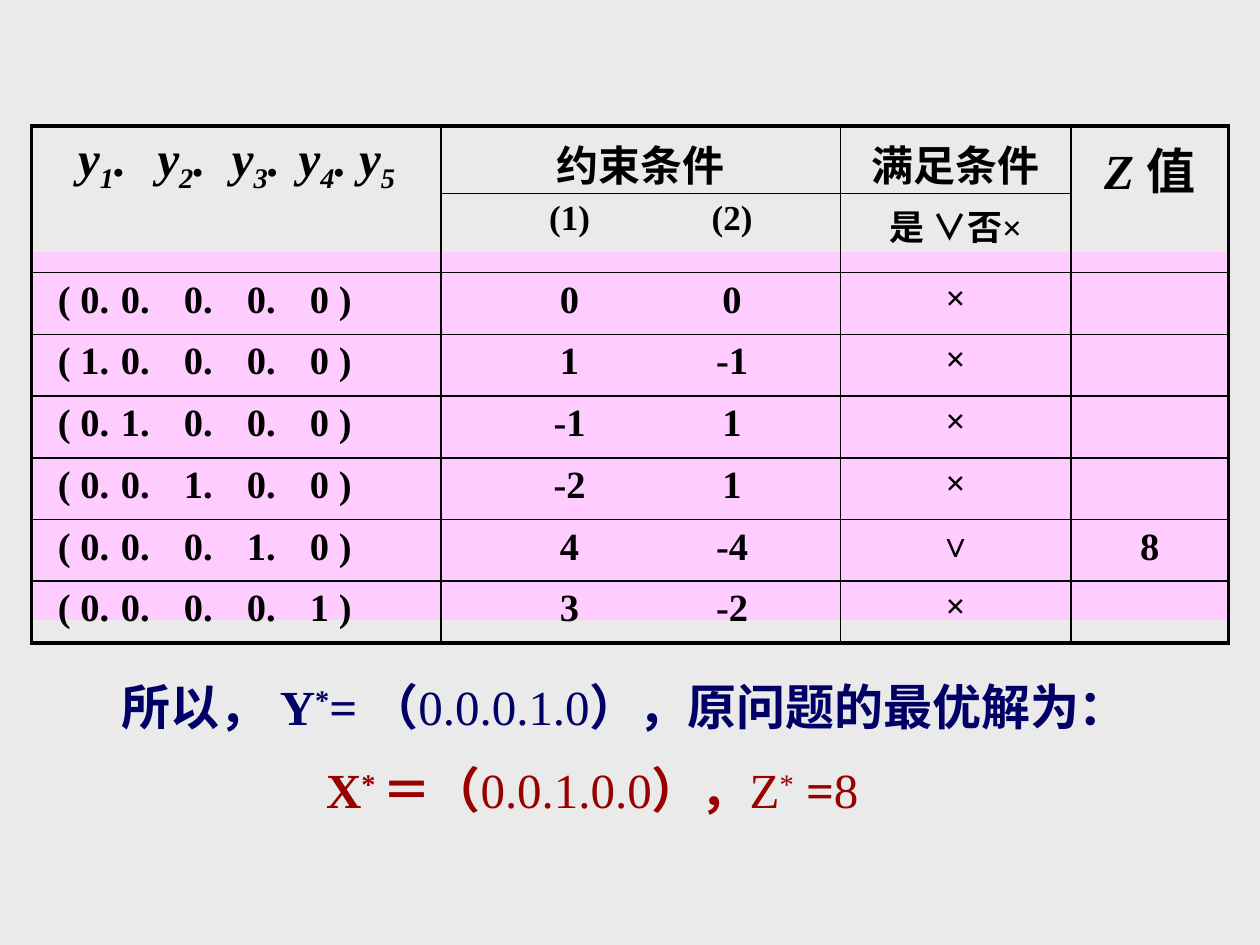
from typing import NamedTuple

from lxml import etree
from pptx import Presentation
from pptx import util as u
from pptx.dml.color import RGBColor
from pptx.enum import shapes, text
from pptx.oxml import ns

SCALE = 9144  # EMU per px, 100 px to the inch
FONT = "Times New Roman"
BLACK = RGBColor(0, 0, 0)
GREY = RGBColor(0xEA, 0xEA, 0xEA)
PINK = RGBColor(0xFF, 0xCC, 0xFF)
NAVY = RGBColor(0x00, 0x00, 0x66)
RED = RGBColor(0x99, 0x00, 0x00)
MID = text.PP_ALIGN.CENTER

COLS = [325, 317, 183, 125]
ROWS = [52, 63] + [49] * 6
BANDS = [200, 250, 300, 342, 392, 442]
Y_TABS = [27, 90, 149, 202, 250]
BIT_TABS = [87 + 59 * i for i in range(4)]
TEST_TABS = [92, 221]


class Trial(NamedTuple):
    bits: str
    one: str
    two: str
    mark: str
    z: str = ""


TRIALS = [
    Trial("00000", "0", "0", "×"),
    Trial("10000", "1", "-1", "×"),
    Trial("01000", "-1", "1", "×"),
    Trial("00100", "-2", "1", "×"),
    Trial("00010", "4", "-4", "∨", "8"),
    Trial("00001", "3", "-2", "×"),
]


def px(n: int) -> u.Emu:
    return u.Emu(n * SCALE)


def add(para, words: str, size=28, color=BLACK, bold=True, italic=False, base=0) -> None:
    run = para.add_run()
    run.text = words
    font = run.font
    font.name, font.size = FONT, u.Pt(size)
    font.bold, font.italic = bold, italic
    font.color.rgb = color
    if base:
        run._r.get_or_add_rPr().set("baseline", str(base * 1000))


def tabs(para, stops: list[int], kind: str = "l") -> None:
    stop_list = etree.SubElement(para._p.get_or_add_pPr(), ns.qn("a:tabLst"))
    for stop in stops:
        etree.SubElement(stop_list, ns.qn("a:tab"), pos=str(px(stop)), algn=kind)


def indent(para, left: int) -> None:
    props = para._p.get_or_add_pPr()
    props.set("marL", str(px(left)))
    props.set("indent", "0")


def edge(cell, row: int, col: int) -> None:
    """Draw thin cell borders, thick on the outside of the table."""
    last = row + cell.span_height == len(ROWS) if cell.is_merge_origin else row == len(ROWS) - 1
    outer = {"L": col == 0, "R": col == len(COLS) - 1, "T": row == 0, "B": last}
    props = cell._tc.get_or_add_tcPr()
    for i, (side, thick) in enumerate(outer.items()):
        line = etree.Element(ns.qn("a:ln" + side), w=str(u.Pt(2.25 if thick else 1)))
        fill = etree.SubElement(line, ns.qn("a:solidFill"))
        etree.SubElement(fill, ns.qn("a:srgbClr"), val=str(BLACK))
        props.insert(i, line)


def center(cell, words: str, **style) -> None:
    para = cell.text_frame.paragraphs[0]
    para.alignment = MID
    add(para, words, **style)


def tabbed(cell, words: str, stops: list[int], kind: str, size: int) -> None:
    para = cell.text_frame.paragraphs[0]
    tabs(para, stops, kind)
    add(para, words, size=size)


def draw_bands(slide) -> None:
    for top in BANDS:
        band = slide.shapes.add_shape(
            shapes.MSO_SHAPE.RECTANGLE, px(25), px(top), px(950), px(50))
        band.shadow.inherit = False
        band.fill.solid()
        band.fill.fore_color.rgb = PINK
        band.line.fill.background()


def draw_table(slide) -> None:
    table = slide.shapes.add_table(
        len(ROWS), len(COLS), px(25), px(100), px(sum(COLS)), px(sum(ROWS))).table
    table.first_row = table.horz_banding = False
    for col, width in zip(table.columns, COLS):
        col.width = px(width)
    for row, height in zip(table.rows, ROWS):
        row.height = px(height)
    for c in (0, 3):
        table.cell(0, c).merge(table.cell(1, c))
    for r in range(len(ROWS)):
        for c in range(len(COLS)):
            cell = table.cell(r, c)
            cell.fill.background()
            cell.margin_bottom = 0
            if not cell.is_spanned:
                edge(cell, r, c)

    # Header
    names = table.cell(0, 0).text_frame.paragraphs[0]
    tabs(names, Y_TABS)
    for n in range(1, 6):
        add(names, "\ty", italic=True)
        add(names, str(n), italic=True, base=-25)
        if n < 5:
            add(names, ".", italic=True)
    center(table.cell(0, 1), "约束条件", size=24)
    center(table.cell(0, 2), "满足条件", size=24)
    center(table.cell(0, 3), "Z ", italic=True)
    center(table.cell(0, 3), "值")
    tabbed(table.cell(1, 1), "\t(1)\t(2)", TEST_TABS, "ctr", 20)
    center(table.cell(1, 2), "是 ∨否×", size=20)

    # Trials
    for r, trial in enumerate(TRIALS, 2):
        bits = table.cell(r, 0)
        indent(bits.text_frame.paragraphs[0], 11)
        tabbed(bits, "( " + ".\t".join(trial.bits) + " )", BIT_TABS, "l", 22)
        tabbed(table.cell(r, 1), f"\t{trial.one}\t{trial.two}", TEST_TABS, "ctr", 22)
        center(table.cell(r, 2), trial.mark, size=20)
        if trial.z:
            center(table.cell(r, 3), trial.z, size=22)


def draw_answer(slide) -> None:
    frame = slide.shapes.add_textbox(px(25), px(532), px(950), px(127)).text_frame
    frame.word_wrap = True
    first, second = frame.paragraphs[0], frame.add_paragraph()
    indent(first, 62)
    indent(second, 224)
    second.space_before = u.Pt(14)

    add(first, "所以， Y", color=NAVY)
    add(first, "*", color=NAVY, base=30)
    add(first, "= （", color=NAVY)
    add(first, "0.0.0.1.0", color=NAVY, bold=False)
    add(first, "），原问题的最优解为：", color=NAVY)

    add(second, "X", color=RED)
    add(second, "* ", color=RED, base=30)
    add(second, "＝（", color=RED)
    add(second, "0.0.1.0.0", color=RED, bold=False)
    add(second, "），", color=RED)
    add(second, "Z", color=RED, bold=False)
    add(second, "*", color=RED, bold=False, base=30)
    add(second, " =", color=RED)
    add(second, "8", color=RED, bold=False)


def main() -> None:
    deck = Presentation()
    deck.slide_width, deck.slide_height = px(1000), px(750)
    slide = deck.slides.add_slide(deck.slide_layouts[6])
    slide.background.fill.solid()
    slide.background.fill.fore_color.rgb = GREY
    draw_bands(slide)
    draw_table(slide)
    draw_answer(slide)
    deck.save("out.pptx")


if __name__ == "__main__":
    main()
